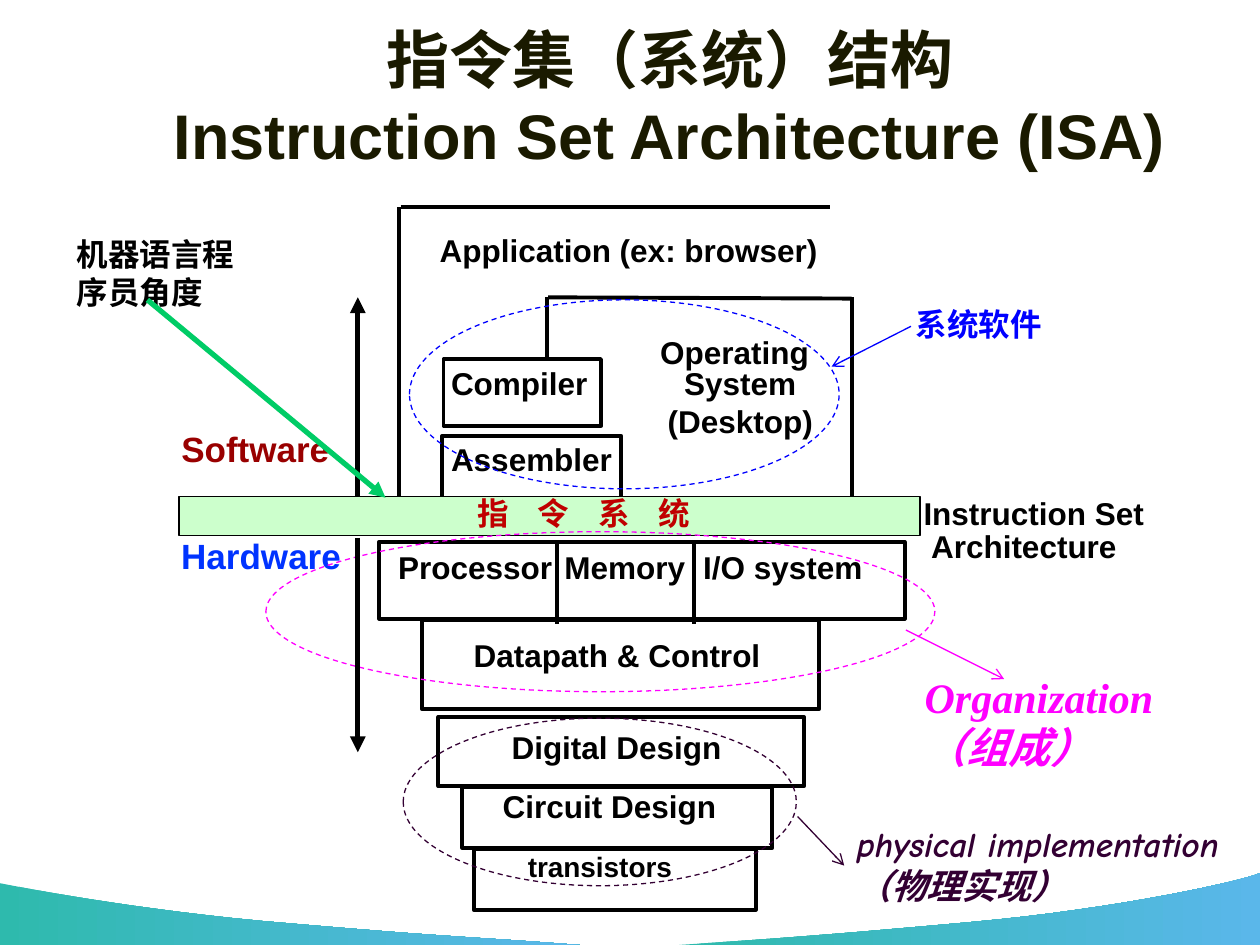
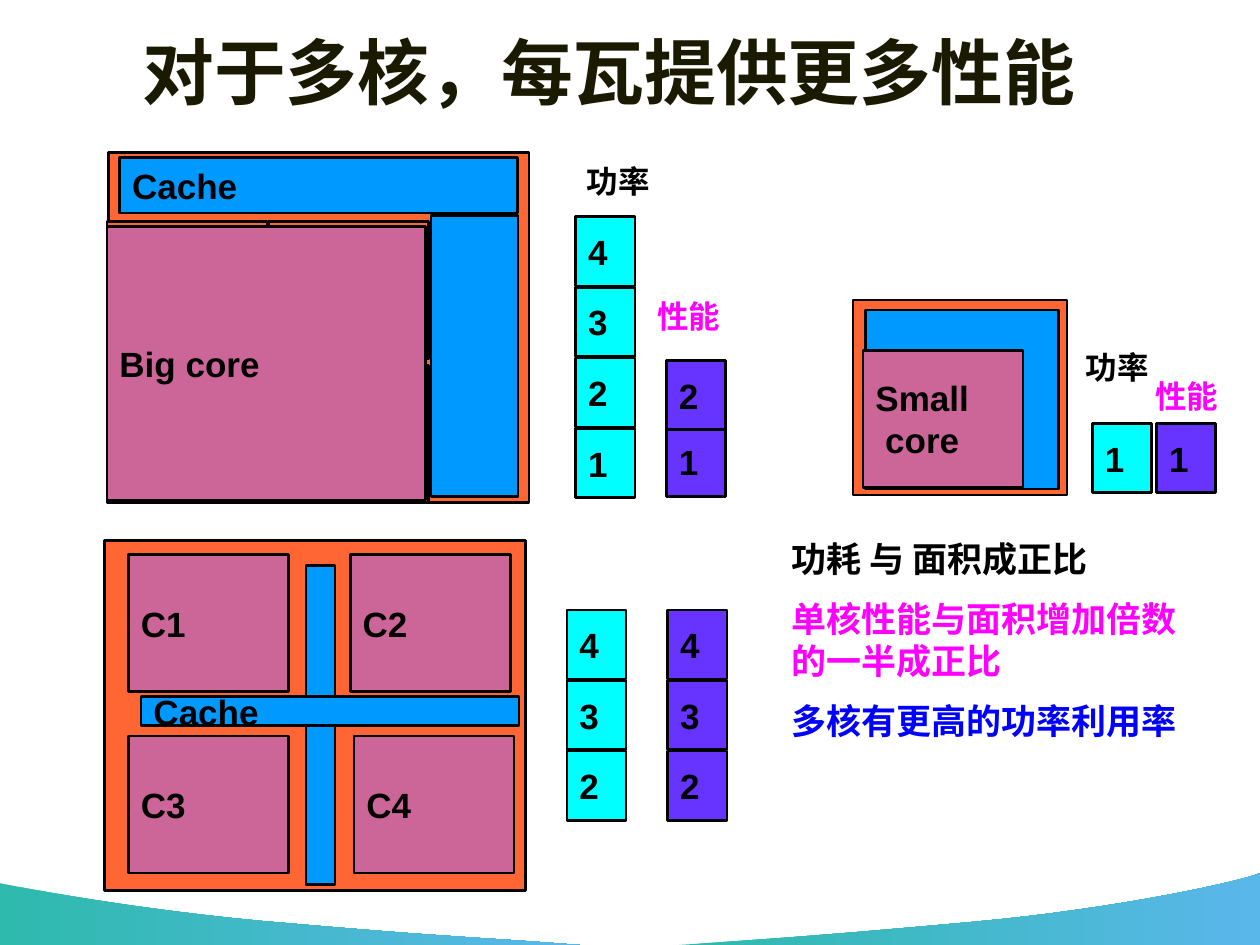
from lxml import etree
from pptx import Presentation
from pptx.dml.color import RGBColor
from pptx.enum.dml import MSO_LINE
from pptx.enum.shapes import MSO_CONNECTOR, MSO_SHAPE
from pptx.enum.text import MSO_ANCHOR, MSO_AUTO_SIZE, PP_ALIGN
from pptx.oxml.ns import qn
from pptx.util import Inches, Pt

RECT, OVAL = MSO_SHAPE.RECTANGLE, MSO_SHAPE.OVAL
STRAIGHT, DASH = MSO_CONNECTOR.STRAIGHT, MSO_LINE.DASH
LEFT, CENTER, MIDDLE = PP_ALIGN.LEFT, PP_ALIGN.CENTER, MSO_ANCHOR.MIDDLE
FIT, NO_FIT = MSO_AUTO_SIZE.SHAPE_TO_FIT_TEXT, MSO_AUTO_SIZE.NONE

BLACK = RGBColor(0x00, 0x00, 0x00)
TITLE_INK = RGBColor(0x1A, 0x1A, 0x00)
TEAL = RGBColor(0x2E, 0xBA, 0xAD)
SKY = RGBColor(0x5A, 0xB7, 0xEA)
MAGENTA = RGBColor(0xFF, 0x00, 0xFF)
BLUE = RGBColor(0x00, 0x00, 0xFF)
PLUM = RGBColor(0x33, 0x00, 0x33)
GREEN = RGBColor(0x00, 0xCC, 0x66)
PALE_GREEN = RGBColor(0xCC, 0xFF, 0xCC)
CRIMSON = RGBColor(0xC0, 0x00, 0x00)
DARK_RED = RGBColor(0x99, 0x00, 0x00)
HARDWARE_BLUE = RGBColor(0x00, 0x33, 0xFF)
ORANGE = RGBColor(0xFF, 0x66, 0x33)
CACHE_BLUE = RGBColor(0x00, 0x99, 0xFF)
CORE_PINK = RGBColor(0xCC, 0x66, 0x99)
CYAN = RGBColor(0x00, 0xFF, 0xFF)
VIOLET = RGBColor(0x66, 0x33, 0xFF)

SANS, SERIF, COMIC = "Arial", "Times New Roman", "Comic Neue"
TIGHT, NORMAL = (0.07, 0.03), (0.1, 0.05)

# Each wave: start point, two Bezier segments, then the bottom corner.
WAVES = [
    ((4.6, 7.5),
     [((3.84, 7.44), (3.58, 7.44), (2.32, 7.33)),
      ((1.06, 7.23), (0.01, 7.01), (0, 7.01))],
     (0, 7.5)),
    ((5.39, 7.5),
     [((6.14, 7.45), (6.46, 7.43), (7.69, 7.32)),
      ((8.92, 7.21), (9.9, 6.98), (10, 6.93))],
     (10, 7.5)),
]

# Slide 1: the layers of a computer
ISA_TITLE = "指令集（系统）结构\vInstruction Set Architecture (ISA)"
LAYER_OUTLINES = [
    (3.52, 2.85, 1.25, 0.53),  # compiler
    (3.51, 3.46, 1.42, 0.53),  # assembler
    (3.01, 4.3, 4.17, 0.61),   # processor, memory, I/O
    (3.35, 4.92, 3.15, 0.71),  # datapath
    (3.48, 5.69, 2.9, 0.55),   # digital design
    (3.67, 6.25, 2.46, 0.48),  # circuit design
    (3.76, 6.74, 2.24, 0.48),  # transistors
]
FRAME_LINES = [
    (3.17, 3.94, 3.17, 1.64), (3.18, 1.64, 6.59, 1.64),  # application
    (4.34, 2.85, 4.34, 2.36), (4.35, 2.36, 6.76, 2.37),  # operating system
    (6.76, 2.36, 6.76, 4.05),
    (4.42, 4.31, 4.42, 4.95), (5.51, 4.31, 5.51, 4.95),  # hardware dividers
]
ISA_BAND = (1.42, 3.94, 5.88, 0.31)
LAYER_LABELS = [
    ((3.42, 1.8, 3.17, 0.37), ["Application (ex: browser)"], {}),
    ((3.51, 2.85, 1.23, 0.37), ["Compiler"], {}),
    ((3.51, 3.46, 1.5, 0.37), ["Assembler"], {"wrap": True}),
    ((5.17, 2.61, 1.33, 0.37), ["Operating"], {}),
    ((5.17, 2.85, 1.41, 0.67), ["System", "(Desktop)"], {"align": CENTER}),
    ((3.09, 4.31, 1.37, 0.37), ["Processor"], {}),
    ((4.41, 4.31, 1.11, 0.37), ["Memory"], {}),
    ((5.51, 4.31, 1.42, 0.37), ["I/O system"], {}),
    ((3.99, 5.74, 1.81, 0.36), ["Digital Design"], {}),
    ((3.92, 6.21, 1.9, 0.36), ["Circuit Design"], {}),
    ((7.26, 3.94, 1.89, 0.57), ["Instruction Set", " Architecture"], {"spacing": 0.85}),
]
ISA_NOTES = [
    ((3.66, 5, 2.55, 0.4), ["Datapath & Control"], {"wrap": False}),
    ((4.09, 6.69, 1.42, 0.36), ["transistors"], {"size": 16}),
    ((1.34, 4.19, 1.47, 0.44), ["Hardware"],
     {"size": 20, "color": HARDWARE_BLUE, "wrap": False}),
    ((1.34, 3.34, 1.45, 0.43), ["Software"],
     {"size": 20, "color": DARK_RED, "wrap": False}),
    ((0.51, 1.82, 1.65, 0.7), ["机器语言程序员角度"], {"font": SERIF}),
    ((7.17, 2.37, 1.66, 0.4), ["系统软件"], {"font": SERIF, "color": BLUE}),
    ((7.24, 5.28, 2.34, 0.91), ["Organization（组成）"],
     {"font": SERIF, "size": 24, "color": MAGENTA, "italic": True}),
    ((6.7, 6.48, 3.38, 0.77), ["physical implementation", "（物理实现）"],
     {"font": COMIC, "size": 20, "color": PLUM, "italic": True, "wrap": False}),
]
BAND_LABEL = ((3.69, 3.87, 2.52, 0.4), ["指 令 系 统"])
BAND_LETTER_SPACING = 620  # hundredths of a point
GROUP_OVALS = [
    ((3.25, 2.38, 3.41, 1.5), BLUE),
    ((2.11, 4.22, 5.31, 1.27), MAGENTA),
    ((3.2, 5.7, 3.12, 1.33), PLUM),
]
ARROWS = [
    ((2.84, 3.94, 2.84, 2.36), BLACK, 3, "triangle"),
    ((2.84, 4.27, 2.84, 5.97), BLACK, 3, "triangle"),
    ((1.17, 2.38, 3.06, 3.95), GREEN, 3, "triangle"),
    ((7.23, 2.59, 6.6, 2.91), BLUE, 0.75, "arrow"),
    ((7.19, 5, 7.97, 5.39), MAGENTA, 0.75, "arrow"),
    ((6.33, 6.48, 6.7, 6.87), PLUM, 0.75, "arrow"),
]

# Slide 2: power and performance of cores
MULTICORE_TITLE = "对于多核，每瓦提供更多性能"
CORE_W, CORE_H = 1.27, 1.09
BIG_CORE_QUARTERS = [(x, y, CORE_W, CORE_H) for y in (1.76, 2.9) for x in (0.85, 2.13)]
CHIP_PARTS = [
    ((6.77, 2.38, 1.7, 1.55), ORANGE, []),
    ((6.87, 2.46, 1.53, 1.42), CACHE_BLUE, []),
    ((6.85, 2.78, CORE_W, CORE_H), CORE_PINK, ["Small", " core"]),
    ((0.86, 1.21, 3.34, 2.78), ORANGE, []),
    *[(quarter, ORANGE, []) for quarter in BIG_CORE_QUARTERS],
    ((0.85, 1.8, 2.53, 2.17), CORE_PINK, ["Big core"]),
    ((0.95, 1.25, 3.16, 0.44), CACHE_BLUE, ["Cache"]),
    ((3.42, 1.71, 0.69, 2.23), CACHE_BLUE, []),
    ((0.83, 4.29, 3.34, 2.78), ORANGE, []),
    ((1.02, 4.4, CORE_W, CORE_H), CORE_PINK, ["C1"]),
    ((2.78, 4.4, CORE_W, CORE_H), CORE_PINK, ["C2"]),
    ((1.02, 5.84, CORE_W, CORE_H), CORE_PINK, ["C3"]),
    ((2.81, 5.84, CORE_W, CORE_H), CORE_PINK, ["C4"]),
    ((2.43, 4.49, 0.23, 2.53), CACHE_BLUE, []),
    ((1.12, 5.53, 3, 0.23), CACHE_BLUE, ["Cache"]),
]
UNIT_W, UNIT_H = 0.47, 0.55
# left, top of the highest unit, distance between units, colour, numbers downwards
UNIT_STACKS = [
    (4.57, 1.72, 0.56, CYAN, "4321"),
    (5.29, 2.86, 0.53, VIOLET, "21"),
    (8.67, 3.36, 0.56, CYAN, "1"),
    (9.18, 3.36, 0.56, VIOLET, "1"),
    (4.5, 4.84, 0.56, CYAN, "432"),
    (5.3, 4.84, 0.56, VIOLET, "432"),
]
STACK_HEADINGS = [
    ((4.56, 1.24, 1.09, 0.4), "功率", BLACK),
    ((5.12, 2.31, 1.06, 0.4), "性能", MAGENTA),
    ((8.52, 2.71, 1.09, 0.4), "功率", BLACK),
    ((9.07, 2.94, 1.06, 0.4), "性能", MAGENTA),
]
CONCLUSION_BOX = (6.18, 4.22, 3.47, 1.78)
CONCLUSIONS = [
    ("功耗 与 面积成正比", BLACK),
    ("单核性能与面积增加倍数的一半成正比", MAGENTA),
    ("多核有更高的功率利用率", BLUE),
]


def inches(values):
    return [Inches(value) for value in values]


def set_font(paragraph, size, color, font=SANS, italic=False):
    paragraph.font.size = Pt(size)
    paragraph.font.name = font
    paragraph.font.bold = True
    paragraph.font.italic = italic
    paragraph.font.color.rgb = color


def add_label(slide, box, lines, size=18, color=BLACK, font=SANS, italic=False,
              wrap=True, insets=NORMAL, align=LEFT, spacing=None):
    frame = slide.shapes.add_textbox(*inches(box)).text_frame
    frame.margin_left = frame.margin_right = Inches(insets[0])
    frame.margin_top = frame.margin_bottom = Inches(insets[1])
    frame.word_wrap = wrap
    frame.auto_size = FIT
    frame.text = "\n".join(lines)
    for paragraph in frame.paragraphs:
        paragraph.alignment = align
        paragraph.line_spacing = spacing
        set_font(paragraph, size, color, font, italic)
    return frame


def add_box(slide, box, fill=None, line=BLACK, width=1.5, kind=RECT, lines=()):
    shape = slide.shapes.add_shape(kind, *inches(box))
    shape.shadow.inherit = False
    if fill is None:
        shape.fill.background()
    else:
        shape.fill.solid()
        shape.fill.fore_color.rgb = fill
    shape.line.color.rgb = line
    shape.line.width = Pt(width)
    if lines:
        frame = shape.text_frame
        frame.word_wrap = False
        frame.vertical_anchor = MIDDLE
        frame.text = "\n".join(lines)
        for paragraph in frame.paragraphs:
            paragraph.alignment = LEFT
            set_font(paragraph, 20, BLACK)
    return shape


def add_line(slide, ends, color=BLACK, width=2.25, head=None):
    line = slide.shapes.add_connector(STRAIGHT, *inches(ends))
    line.line.color.rgb = color
    line.line.width = Pt(width)
    properties = line.element.spPr
    if head:
        etree.SubElement(properties.find(qn("a:ln")), qn("a:tailEnd"), type=head)
    etree.SubElement(properties, qn("a:effectLst"))


def bezier(start, c1, c2, end, steps=16):
    """Points after start along a cubic curve."""
    for step in range(1, steps + 1):
        t = step / steps
        weights = ((1 - t) ** 3, 3 * t * (1 - t) ** 2, 3 * t * t * (1 - t), t ** 3)
        yield tuple(sum(w * point[axis] for w, point in zip(weights, (start, c1, c2, end)))
                    for axis in (0, 1))


def add_waves_to_master(slide):
    """Draw the footer waves on a slide, then move them behind its master."""
    master_tree = slide.slide_layout.slide_master.element.cSld.spTree
    for index, (start, segments, corner) in enumerate(WAVES):
        points = [start]
        for segment in segments:
            points.extend(bezier(points[-1], *segment))
        points.append(corner)
        builder = slide.shapes.build_freeform(*inches(start))
        builder.add_line_segments([inches(point) for point in points[1:]], close=True)
        wave = builder.convert_to_shape()
        wave.shadow.inherit = False
        wave.line.fill.background()
        wave.fill.gradient()
        wave.fill.gradient_angle = 0
        for stop, color in zip(wave.fill.gradient_stops, (TEAL, SKY)):
            stop.color.rgb = color
        wave.element.nvSpPr.cNvPr.set("id", str(100 + index))
        master_tree.insert(2 + index, wave.element)


def add_slide(prs, title, box, size):
    slide = prs.slides.add_slide(prs.slide_layouts[5])
    heading = slide.shapes.title
    heading.left, heading.top, heading.width, heading.height = inches(box)
    frame = heading.text_frame
    frame.text = title
    frame.auto_size = NO_FIT
    frame.vertical_anchor = MIDDLE
    frame.paragraphs[0].alignment = CENTER
    set_font(frame.paragraphs[0], size, TITLE_INK)
    return slide


def build_isa_slide(prs):
    slide = add_slide(prs, ISA_TITLE, (0.86, 0.16, 8.91, 1.21), 36)
    for ends in FRAME_LINES:
        add_line(slide, ends)
    for outline in LAYER_OUTLINES:
        add_box(slide, outline, width=2.25)
    add_box(slide, ISA_BAND, PALE_GREEN, width=1)
    for box, lines, style in LAYER_LABELS:
        add_label(slide, box, lines,
                  **{"wrap": False, "insets": TIGHT, "spacing": 1.02, **style})
    for box, lines, style in ISA_NOTES:
        add_label(slide, box, lines, **style)
    band = add_label(slide, *BAND_LABEL, color=CRIMSON, font=SERIF)
    band_run = band.paragraphs[0].runs[0]
    band_run.font._element.set("spc", str(BAND_LETTER_SPACING))
    for box, color in GROUP_OVALS:
        add_box(slide, box, line=color, width=0.75, kind=OVAL).line.dash_style = DASH
    for arrow in ARROWS:
        add_line(slide, *arrow)
    return slide


def build_multicore_slide(prs):
    slide = add_slide(prs, MULTICORE_TITLE, (0.92, 0.25, 7.83, 0.62), 41)
    for box, fill, lines in CHIP_PARTS:
        add_box(slide, box, fill, lines=lines)
    for left, top, pitch, fill, numbers in UNIT_STACKS:
        for row, number in reversed(list(enumerate(numbers))):
            add_box(slide, (left, top + row * pitch, UNIT_W, UNIT_H), fill, lines=[number])
    for box, heading, color in STACK_HEADINGS:
        add_label(slide, box, [heading], color=color)
    frame = add_label(slide, CONCLUSION_BOX, [text for text, _ in CONCLUSIONS], size=20)
    for index, (paragraph, (_, color)) in enumerate(zip(frame.paragraphs, CONCLUSIONS)):
        paragraph.font.color.rgb = color
        if index:
            paragraph.space_before = Pt(10)


def main():
    prs = Presentation()
    prs.slide_width, prs.slide_height = Inches(10), Inches(7.5)
    isa_slide = build_isa_slide(prs)
    add_waves_to_master(isa_slide)
    build_multicore_slide(prs)
    prs.save("out.pptx")


if __name__ == "__main__":
    main()
